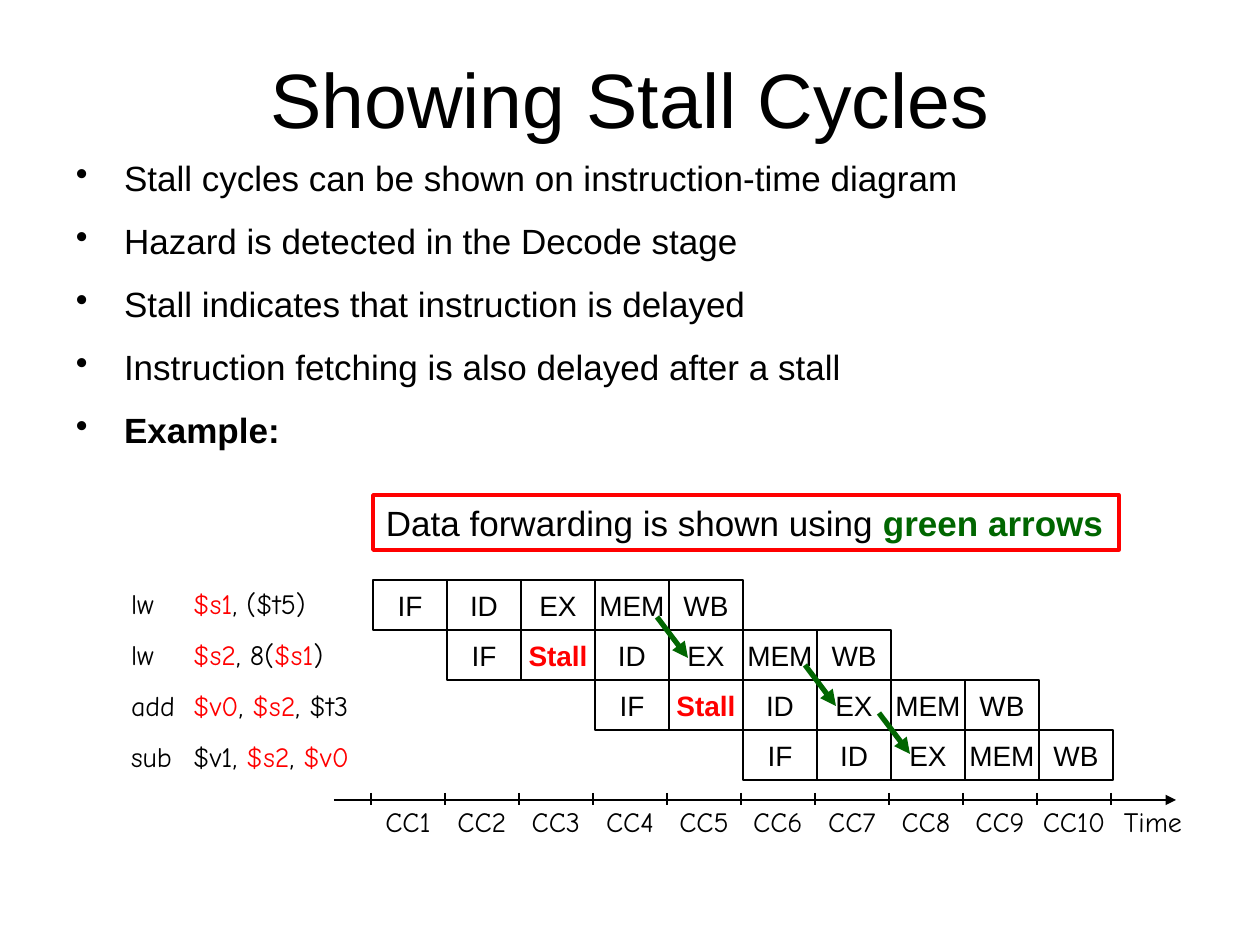
from itertools import cycle

from lxml import etree
from pptx import Presentation
from pptx.dml.color import RGBColor
from pptx.enum.shapes import MSO_CONNECTOR, MSO_SHAPE
from pptx.enum.text import MSO_ANCHOR, PP_ALIGN
from pptx.oxml.ns import qn
from pptx.util import Pt

PX = 914400 / 126
BLACK = RGBColor(0x00, 0x00, 0x00)
RED = RGBColor(0xFF, 0x00, 0x00)
GREEN = RGBColor(0x00, 0x66, 0x00)
RECT = MSO_SHAPE.RECTANGLE
LINE = MSO_CONNECTOR.STRAIGHT
TOP, MID = MSO_ANCHOR.TOP, MSO_ANCHOR.MIDDLE
LEFT, MIDST = PP_ALIGN.LEFT, PP_ALIGN.CENTER
SANS, HAND = "Arial", "Comic Neue"
STEP, ROW, TAB, DENT = 74, 50, 62, 48

POINTS = [
    "Stall cycles can be shown on instruction-time diagram",
    "Hazard is detected in the Decode stage",
    "Stall indicates that instruction is delayed",
    "Instruction fetching is also delayed after a stall",
    "Example:",
]
CODE = [
    ["lw\t", "$s1", ", ($t5)"],
    ["lw\t", "$s2", ", 8(", "$s1", ")"],
    ["add\t", "$v0", ", ", "$s2", ", $t3"],
    ["sub\t$v1, ", "$s2", ", ", "$v0"],
]
STAGES = [
    (0, "IF ID EX MEM WB"),
    (1, "IF Stall ID EX MEM WB"),
    (3, "IF Stall ID EX MEM WB"),
    (5, "IF ID EX MEM WB"),
]
HOPS = [(4, 0), (6, 1), (7, 2)]


def emu(*sizes):
    """Turn px lengths into EMU."""
    return [round(size * PX) for size in sizes]


def style(item, form):
    """Set each attribute named in form."""
    for key, val in form.items():
        setattr(item, key, val)


def write(para, runs, face, size):
    """Add (text, colour, bold) runs to a paragraph."""
    for text, hue, bold in runs:
        run = para.add_run()
        run.text = text
        style(run.font, {"name": face, "size": Pt(size), "bold": bold})
        run.font.color.rgb = hue


def frame(shape, pad, anchor):
    """Prepare the text frame of a shape and return it."""
    wide, tall = emu(*pad)
    text = shape.text_frame
    style(text, {
        "word_wrap": True, "vertical_anchor": anchor,
        "margin_left": wide, "margin_right": wide,
        "margin_top": tall, "margin_bottom": tall,
    })
    return text


def label(slide, box, runs, face, size, pad=(0, 0), anchor=MID, align=MIDST):
    """Place a one-paragraph text box and return its paragraph."""
    shape = slide.shapes.add_textbox(*emu(*box))
    para = frame(shape, pad, anchor).paragraphs[0]
    para.alignment = align
    write(para, runs, face, size)
    return para


def block(slide, box, runs, size, hue, width, pad=(0, 0), anchor=MID, align=MIDST):
    """Place an outlined rectangle with text."""
    shape = slide.shapes.add_shape(RECT, *emu(*box))
    shape.shadow.inherit = False
    shape.fill.background()
    shape.line.color.rgb = hue
    shape.line.width = Pt(width)
    para = frame(shape, pad, anchor).paragraphs[0]
    para.alignment = align
    write(para, runs, SANS, size)


def stroke(slide, ends, hue, width, head=False):
    """Draw a straight line, with an arrowhead if asked."""
    line = slide.shapes.add_connector(LINE, *emu(*ends))
    line.line.color.rgb = hue
    line.line.width = Pt(width)
    props = line._element.spPr
    if head:
        etree.SubElement(props.find(qn("a:ln")), qn("a:tailEnd"), type="triangle")
    etree.SubElement(props, qn("a:effectLst"))


def bullets(slide, box):
    """Place the bullet list."""
    text = frame(slide.shapes.add_textbox(*emu(*box)), (13, 6), TOP)
    dent = emu(DENT)[0]
    for num, point in enumerate(POINTS):
        para = text.add_paragraph() if num else text.paragraphs[0]
        props = para._p.get_or_add_pPr()
        props.set("marL", str(dent))
        props.set("indent", str(-dent))
        etree.SubElement(props, qn("a:buChar"), char="•")
        if num:
            para.space_before = Pt(12)
        write(para, [(point, BLACK, point == "Example:")], SANS, 20)


def listing(slide, box):
    """Place the instructions one under another."""
    left, top, wide, tall = box
    pitch = tall // len(CODE)
    for num, parts in enumerate(CODE):
        runs = [(part, hue, False) for part, hue in zip(parts, cycle([BLACK, RED]))]
        place = (left, top + num * pitch, wide, pitch)
        para = label(slide, place, runs, HAND, 16, (0, 6), align=LEFT)
        tabs = etree.SubElement(para._p.get_or_add_pPr(), qn("a:tabLst"))
        etree.SubElement(tabs, qn("a:tab"), pos=str(emu(TAB)[0]), algn="l")


def pipes(slide, left, top):
    """Draw the stage grid and its forwarding arrows."""
    for row, (start, names) in enumerate(STAGES):
        for col, name in enumerate(names.split(), start):
            stall = name == "Stall"
            runs = [(name, RED if stall else BLACK, stall)]
            place = (left + col * STEP, top + row * ROW, STEP, ROW)
            block(slide, place, runs, 16, BLACK, 1)
    for col, row in HOPS:
        x, y = left + col * STEP - 12, top + 37 + row * 48
        stroke(slide, (x, y, x + 31, y + 41), GREEN, 3, True)


def axis(slide, box):
    """Draw the time axis with its ticks and labels."""
    left, top, wide, tall = box
    stroke(slide, (left, top, left + wide, top), BLACK, 1.5, True)
    first = left + 37
    for num in range(11):
        x = first + num * STEP
        stroke(slide, (x, top - 7, x, top + 5), BLACK, 1.5)
        if num < 10:
            name = [(f"CC{num + 1}", BLACK, False)]
            label(slide, (x - 1, top + 5, 76, tall), name, HAND, 16, anchor=TOP)
    label(slide, (first + 10 * STEP + 4, top + 4, 76, 34),
          [("Time", BLACK, False)], HAND, 16)


def main():
    """Build and save the slide."""
    deck = Presentation()
    deck.slide_width, deck.slide_height = emu(1260, 945)
    slide = deck.slides.add_slide(deck.slide_layouts[6])
    label(slide, (63, 38, 1134, 120), [("Showing Stall Cycles", BLACK, False)],
          SANS, 44, (13, 6))
    bullets(slide, (63, 151, 1138, 390))
    listing(slide, (131, 578, 261, 204))
    pipes(slide, 373, 580)
    axis(slide, (334, 800, 842, 38))
    note = [("Data forwarding is shown using ", BLACK, False),
            ("green arrows", GREEN, True)]
    block(slide, (373, 495, 746, 55), note, 20, RED, 2, (13, 6), TOP, LEFT)
    deck.save("out.pptx")


if __name__ == "__main__":
    main()
